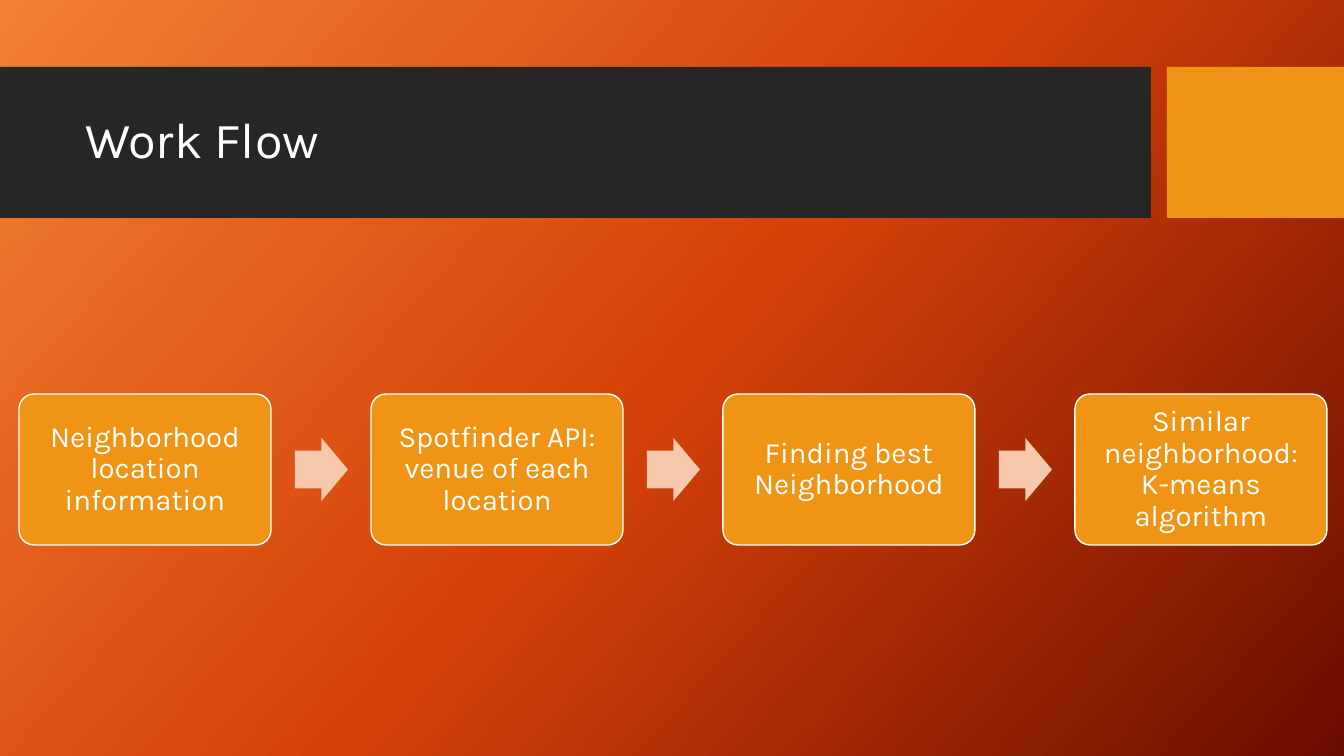
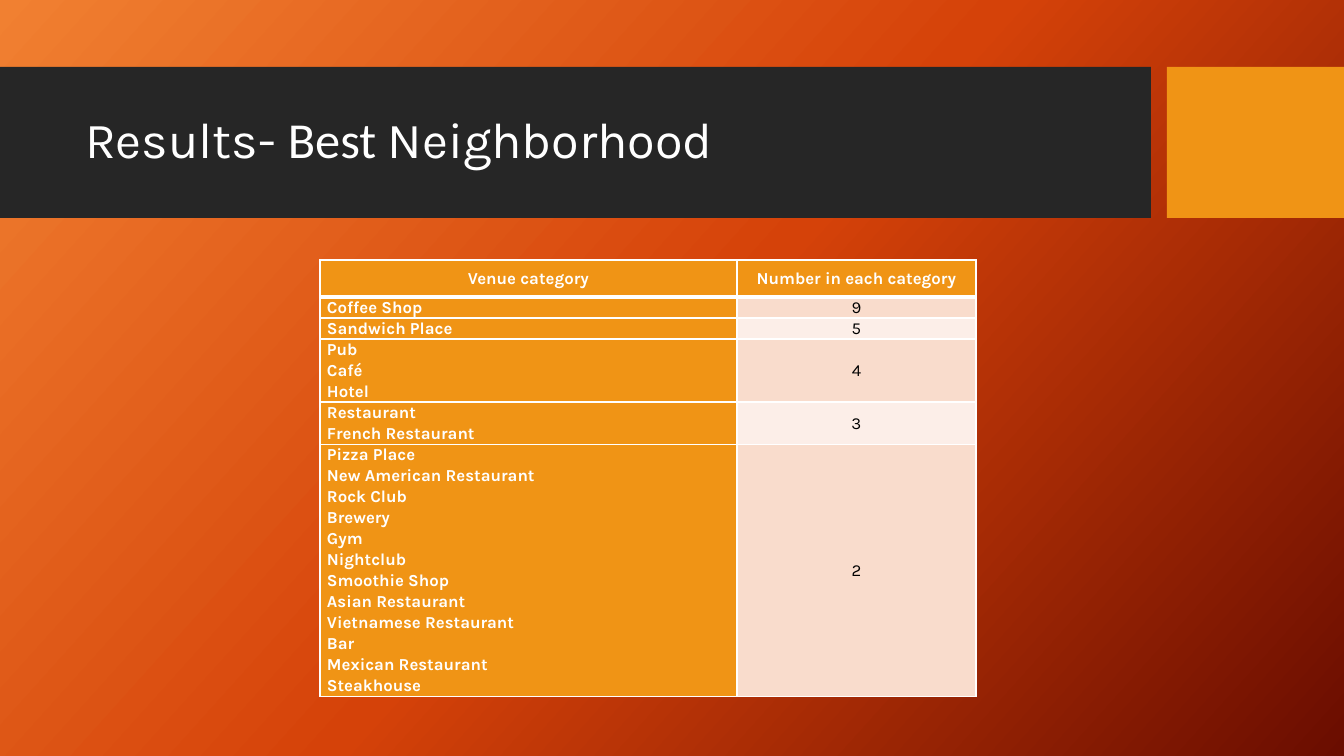
import copy

from lxml import etree
from pptx import Presentation
from pptx import util as u
from pptx.dml.color import RGBColor
from pptx.enum import shapes, text
from pptx.oxml import ns

COLORS = {
    "glow": "F18031", "flame": "D54209", "ember": "6A0D00",
    "band": "262626", "accent": "F09415", "arrow": "F6C8AC",
    "white": "FFFFFF", "black": "000000",
    "row_dark": "F9DCCC", "row_light": "FCEEE8",
}
FONT = "Karla"
ALT_FONT = "Calibri"
SLIDE_SIZE = (1344, 756)
BAND_TOP, BAND_HEIGHT = 67, 151
TITLE_BOX = (75, 83, 1059, 119)
FLOW_BOX = (19, 394, 1308, 151)
TABLE_AT = (320, 260)
COLUMN_WIDTHS = (417, 239)
HEADER_HEIGHT, LINE_HEIGHT = 37, 21

STEPS = [
    "Neighborhood location information",
    "Spotfinder API: venue of each location",
    "Finding best Neighborhood",
    "Similar neighborhood: K-means algorithm",
]
HEADERS = ["Venue category", "Number in each category"]
VENUES = [
    (["Coffee Shop"], 9),
    (["Sandwich Place"], 5),
    (["Pub", "Café", "Hotel"], 4),
    (["Restaurant", "French Restaurant"], 3),
    (["Pizza Place", "New American Restaurant", "Rock Club", "Brewery", "Gym",
      "Nightclub", "Smoothie Shop", "Asian Restaurant", "Vietnamese Restaurant",
      "Bar", "Mexican Restaurant", "Steakhouse"], 2),
]


def px(length):
    return u.Emu(round(length * 914400 / 100.8))


def rgb(name):
    return RGBColor.from_string(COLORS[name])


def add_span(para, words, size, color="white", font=FONT, bold=False):
    span = para.add_run()
    span.text = words
    span.font.name = font
    span.font.size = u.Pt(size)
    span.font.bold = bold
    span.font.color.rgb = rgb(color)


def add_block(page, kind, box, fill, line=None):
    block = page.shapes.add_shape(kind, *map(px, box))
    block.shadow.inherit = False
    block.fill.solid()
    block.fill.fore_color.rgb = rgb(fill)
    if line:
        block.line.color.rgb = rgb(line)
        block.line.width = u.Pt(1)
    else:
        block.line.fill.background()
    return block


def style_master(master):
    """Give the master its diagonal three-colour background."""
    fill = master.background.fill
    fill.gradient()
    fill.gradient_angle = 318
    stop_list = master.element.find(".//" + ns.qn("a:gsLst"))
    stop_list.append(copy.deepcopy(stop_list[-1]))
    for stop, name, position in zip(fill.gradient_stops,
                                    ("glow", "flame", "ember"), (0, 0.5, 1)):
        stop.color.rgb = rgb(name)
        stop.position = position


def style_layout(layout, page):
    """Draw the bands on the page, then move them behind the layout's title."""
    bands = [(0, 1151, "band"), (1167, 177, "accent")]
    tree = layout.shapes.element if hasattr(layout.shapes, "element") else layout.element.cSld.spTree
    for order, (left, width, fill) in enumerate(bands):
        band = add_block(page, shapes.MSO_SHAPE.RECTANGLE,
                         (left, BAND_TOP, width, BAND_HEIGHT), fill)
        band.element.nvSpPr.cNvPr.set("id", str(20 + order))
        tree.insert(2 + order, band.element)
    title = layout.placeholders[0]
    title.left, title.top, title.width, title.height = map(px, TITLE_BOX)


def set_title(page, spans):
    frame = page.shapes.title.text_frame
    frame.vertical_anchor = text.MSO_ANCHOR.MIDDLE
    para = frame.paragraphs[0]
    para.alignment = text.PP_ALIGN.LEFT
    para.line_spacing = 0.9
    for words, font in spans:
        add_span(para, words, 36, font=font)


def add_flow(page, box, steps):
    """Spread step boxes evenly over the box, with an arrow in each gap."""
    left, top, width, height = box
    step_width, arrow_width, arrow_height = 252, 53, 63
    pitch = (width - step_width) // (len(steps) - 1)
    arrow_inset = (pitch - step_width - arrow_width + 1) // 2
    for index, words in enumerate(steps):
        x = left + index * pitch
        step = add_block(page, shapes.MSO_SHAPE.ROUNDED_RECTANGLE,
                         (x, top, step_width, height), "accent", "white")
        step.adjustments[0] = 0.1
        frame = step.text_frame
        frame.word_wrap = True
        frame.vertical_anchor = text.MSO_ANCHOR.MIDDLE
        frame.margin_left = frame.margin_right = px(9)
        frame.margin_top = frame.margin_bottom = px(9)
        para = frame.paragraphs[0]
        para.alignment = text.PP_ALIGN.CENTER
        para.line_spacing = 0.9
        add_span(para, words, 21)
        if index < len(steps) - 1:
            arrow = add_block(page, shapes.MSO_SHAPE.RIGHT_ARROW,
                              (x + step_width + arrow_inset,
                               top + (height - arrow_height) // 2,
                               arrow_width, arrow_height), "arrow")
            arrow.adjustments[0] = 0.6
            arrow.adjustments[1] = 0.5


def set_borders(cell, **widths):
    """Draw white borders, 1 pt wide unless a side is given another width."""
    properties = cell._tc.get_or_add_tcPr()
    for side in "LRTB":
        line = etree.SubElement(properties, ns.qn("a:ln" + side),
                                w=str(u.Pt(widths.get(side, 1))))
        fill = etree.SubElement(line, ns.qn("a:solidFill"))
        etree.SubElement(fill, ns.qn("a:srgbClr"), val=COLORS["white"])


def fill_cell(cell, lines, fill, color="white", bold=True, centered=True):
    cell.fill.solid()
    cell.fill.fore_color.rgb = rgb(fill)
    cell.vertical_anchor = text.MSO_ANCHOR.MIDDLE
    cell.margin_left = cell.margin_right = px(7)
    cell.margin_top = cell.margin_bottom = 0
    frame = cell.text_frame
    for index, words in enumerate(lines):
        para = frame.add_paragraph() if index else frame.paragraphs[0]
        para.alignment = text.PP_ALIGN.CENTER if centered else text.PP_ALIGN.LEFT
        para.line_spacing = 1.07
        add_span(para, words, 12, color, bold=bold)


def add_venue_table(page, position, venues):
    heights = [HEADER_HEIGHT] + [LINE_HEIGHT * len(names) for names, _ in venues]
    box = (*position, sum(COLUMN_WIDTHS), sum(heights))
    table = page.shapes.add_table(len(heights), len(COLUMN_WIDTHS), *map(px, box)).table
    for column, width in zip(table.columns, COLUMN_WIDTHS):
        column.width = px(width)
    for row, height in zip(table.rows, heights):
        row.height = px(height)

    for column, words in enumerate(HEADERS):
        set_borders(table.cell(0, column), B=3)
        fill_cell(table.cell(0, column), [words], "accent")
    for row, (names, count) in enumerate(venues, start=1):
        name_cell, count_cell = table.cell(row, 0), table.cell(row, 1)
        for cell in (name_cell, count_cell):
            set_borders(cell, T=3 if row == 1 else 1)
        fill_cell(name_cell, names, "accent", centered=False)
        fill_cell(count_cell, [str(count)], "row_dark" if row % 2 else "row_light",
                  "black", bold=False)


def main():
    deck = Presentation()
    deck.slide_width, deck.slide_height = map(px, SLIDE_SIZE)
    layout = deck.slide_layouts[5]
    style_master(deck.slide_master)

    flow_page = deck.slides.add_slide(layout)
    style_layout(layout, flow_page)
    set_title(flow_page, [("Work Flow", FONT)])
    add_flow(flow_page, FLOW_BOX, STEPS)

    results_page = deck.slides.add_slide(layout)
    set_title(results_page, [("Results- ", FONT), ("Best ", ALT_FONT),
                             ("Neighborhood", FONT)])
    add_venue_table(results_page, TABLE_AT, VENUES)

    deck.save("out.pptx")


if __name__ == "__main__":
    main()
